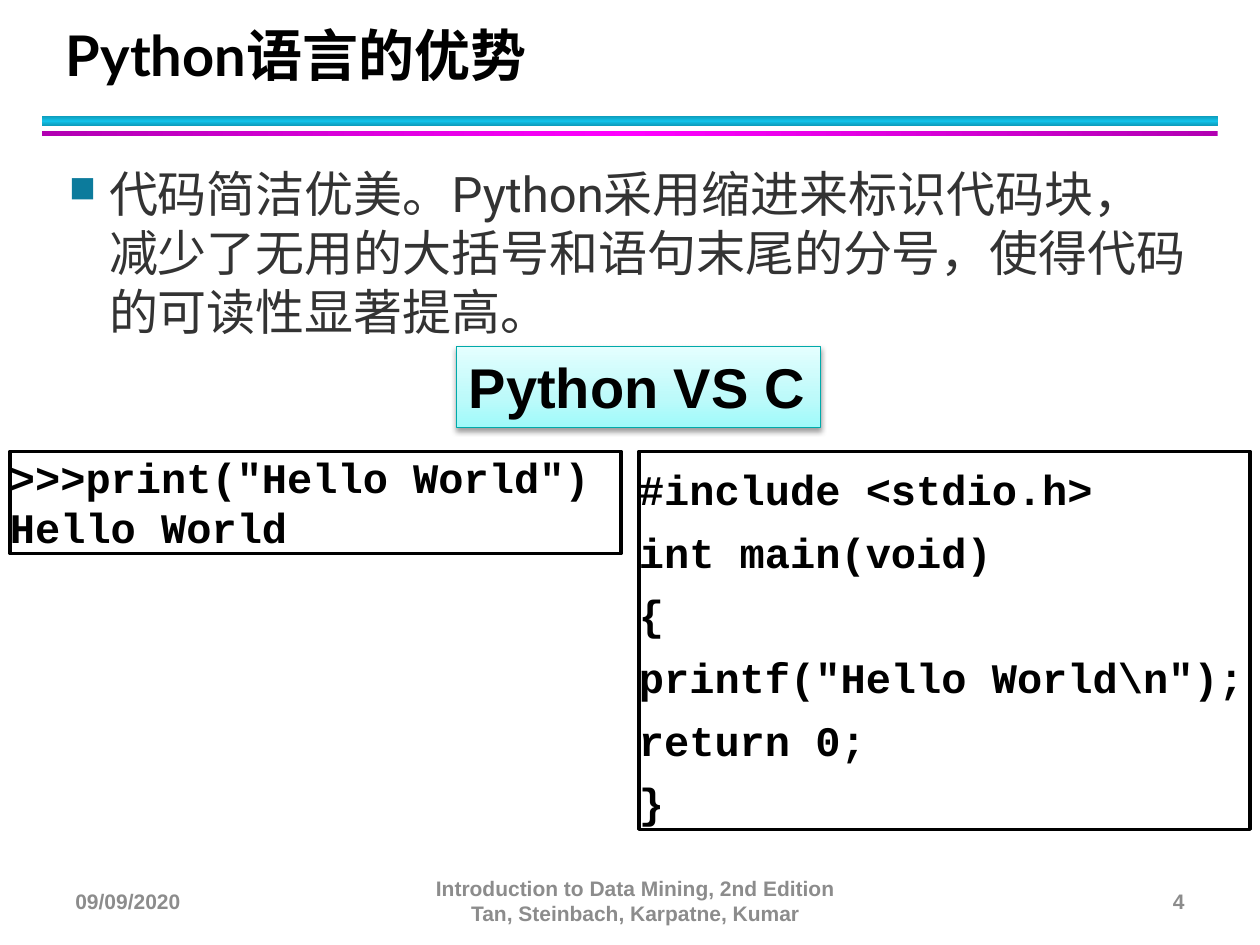
from copy import deepcopy
from dataclasses import dataclass

from pptx import Presentation
from pptx.dml.color import RGBColor
from pptx.enum.shapes import MSO_SHAPE
from pptx.enum.text import MSO_ANCHOR, PP_ALIGN
from pptx.oxml import parse_xml
from pptx.oxml.ns import nsdecls, qn
from pptx.util import Cm, Pt


@dataclass(frozen=True)
class Theme:
    """Colours, fonts and type sizes of the slide."""
    ink: str = "000000"
    paper: str = "FFFFFF"
    body: str = "333333"
    footer: str = "8C8C8C"
    bullet: str = "0C7B9C"
    badge_line: str = "00AAAA"
    blue_bar: tuple = ((0, "0E9BBA"), (0.5, "12C2E9"), (1, "0E9BBA"))
    pink_bar: tuple = ((0, "B200B2"), (0.5, "FF00FF"), (1, "B200B2"))
    badge: tuple = ((0, "9EFAFA"), (0.35, "BCFAFA"), (1, "E4FEFE"))
    title_font: str = "Lato"
    body_font: str = "Roboto"
    code_font: str = "Courier New"
    label_font: str = "Arial"
    title_size: int = 32
    body_size: int = 28
    code_size: int = 24
    footer_size: int = 12


THEME = Theme()


def style(paragraph, name, size, color, bold=False):
    """Set the font of a whole paragraph."""
    font = paragraph.font
    font.name, font.size, font.bold = name, Pt(size), bold
    font.color.rgb = RGBColor.from_string(color)


def add_text(slide, box, text, anchor=MSO_ANCHOR.TOP):
    """Add a wrapping text box and return its paragraph."""
    frame = slide.shapes.add_textbox(*map(Cm, box)).text_frame
    frame.word_wrap = True
    frame.vertical_anchor = anchor
    frame.text = text
    return frame.paragraphs[0]


def add_rectangle(slide, box):
    """Add a rectangle without shadow or line."""
    shape = slide.shapes.add_shape(MSO_SHAPE.RECTANGLE, *map(Cm, box))
    shape.shadow.inherit = False
    shape.line.fill.background()
    return shape


def outline(shape, color, width):
    """Give a shape a solid line."""
    shape.line.color.rgb = RGBColor.from_string(color)
    shape.line.width = Pt(width)


def fill_gradient(shape, stops, angle):
    """Fill a shape with a linear three-stop gradient."""
    shape.fill.gradient()
    shape.fill.gradient_angle = angle
    stop_list = shape._element.spPr.find(qn("a:gradFill")).find(qn("a:gsLst"))
    stop_list.append(deepcopy(stop_list[-1]))
    for stop, (position, color) in zip(shape.fill.gradient_stops, stops):
        stop.position = position
        stop.color.rgb = RGBColor.from_string(color)


def add_header(slide, box, title):
    """Add the title above the blue and pink bars."""
    left, top, width, height = box
    paragraph = add_text(slide, (left + 0.23, top, width - 0.7, 1.47), title, MSO_ANCHOR.BOTTOM)
    paragraph.line_spacing = Pt(36)
    style(paragraph, THEME.title_font, THEME.title_size, THEME.ink, True)
    blue = add_rectangle(slide, (left, top + height - 0.4, width, 0.2))
    fill_gradient(blue, THEME.blue_bar, 90)
    pink = add_rectangle(slide, (left, top + height - 0.1, width, 0.1))
    fill_gradient(pink, THEME.pink_bar, 0)


def add_body(slide, box, text):
    """Add the bulleted statement."""
    paragraph = add_text(slide, box, text)
    properties = paragraph._p.get_or_add_pPr()
    properties.set("marL", str(Cm(0.81)))
    properties.set("indent", str(-Cm(0.81)))
    for bullet in (
        f'<a:buClr {nsdecls("a")}><a:srgbClr val="{THEME.bullet}"/></a:buClr>',
        f'<a:buSzPct {nsdecls("a")} val="75000"/>',
        f'<a:buChar {nsdecls("a")} char="■"/>',
    ):
        properties.append(parse_xml(bullet))
    style(paragraph, THEME.body_font, THEME.body_size, THEME.body)


def add_badge(slide, box, text):
    """Add the shaded label that names the comparison."""
    shape = add_rectangle(slide, box)
    fill_gradient(shape, THEME.badge, 90)
    outline(shape, THEME.badge_line, 0.75)
    shape._element.spPr.find(qn("a:effectLst")).append(parse_xml(
        f'<a:outerShdw {nsdecls("a")} blurRad="{Pt(3.1)}" dist="{Pt(1.6)}" dir="5400000" rotWithShape="0">'
        '<a:srgbClr val="000000"><a:alpha val="38000"/></a:srgbClr></a:outerShdw>'))
    frame = shape.text_frame
    frame.word_wrap = False
    frame.vertical_anchor = MSO_ANCHOR.TOP
    frame.text = text
    paragraph = frame.paragraphs[0]
    paragraph.alignment = PP_ALIGN.LEFT
    style(paragraph, THEME.label_font, THEME.title_size, THEME.ink, True)


def add_code(slide, box, code, line_spacing=None):
    """Add a framed code listing."""
    shape = add_rectangle(slide, box)
    shape.fill.solid()
    shape.fill.fore_color.rgb = RGBColor.from_string(THEME.paper)
    outline(shape, THEME.ink, 2)
    frame = shape.text_frame
    frame.word_wrap = True
    frame.vertical_anchor = MSO_ANCHOR.TOP
    frame.margin_left = frame.margin_right = frame.margin_top = frame.margin_bottom = 0
    frame.text = code
    for paragraph in frame.paragraphs:
        paragraph.alignment = PP_ALIGN.LEFT
        paragraph.line_spacing = line_spacing
        style(paragraph, THEME.code_font, THEME.code_size, THEME.ink, True)


def add_footer(slide, box, date, source, number):
    """Add date, source and slide number in one row."""
    left, top, width, height = box
    side = 5.92
    for text, offset, part_width, alignment in (
        (date, 0, side, PP_ALIGN.LEFT),
        (source, 7.2, 8.68, PP_ALIGN.CENTER),
        (number, width - side, side, PP_ALIGN.RIGHT),
    ):
        paragraph = add_text(slide, (left + offset, top, part_width, height), text, MSO_ANCHOR.MIDDLE)
        paragraph.alignment = alignment
        style(paragraph, THEME.label_font, THEME.footer_size, THEME.footer, True)


def main():
    """Build and save the slide."""
    presentation = Presentation()
    presentation.slide_width, presentation.slide_height = Cm(25.4), Cm(19.05)
    slide = presentation.slides.add_slide(presentation.slide_layouts[6])
    add_header(slide, (0.85, 0.43, 23.7, 2.31), "Python语言的优势")
    add_body(slide, (1.14, 3.18, 23.11, 3.81),
             "代码简洁优美。Python采用缩进来标识代码块，减少了无用的大括号和语句末尾的分号，使得代码的可读性显著提高。")
    add_footer(slide, (1.27, 17.65, 22.86, 1.02), "09/09/2020",
               "Introduction to Data Mining, 2nd Edition\vTan, Steinbach, Karpatne, Kumar", "4")
    add_code(slide, (0.2, 9.1, 12.32, 2.06), '>>>print("Hello World")\nHello World')
    add_code(slide, (12.88, 9.1, 12.32, 7.62),
             '#include <stdio.h>\nint main(void)\n{\nprintf("Hello World\\n");\nreturn 0;\n}', Pt(35.8))
    add_badge(slide, (9.2, 6.99, 7.34, 1.63), "Python VS C")
    presentation.save("out.pptx")


if __name__ == "__main__":
    main()
